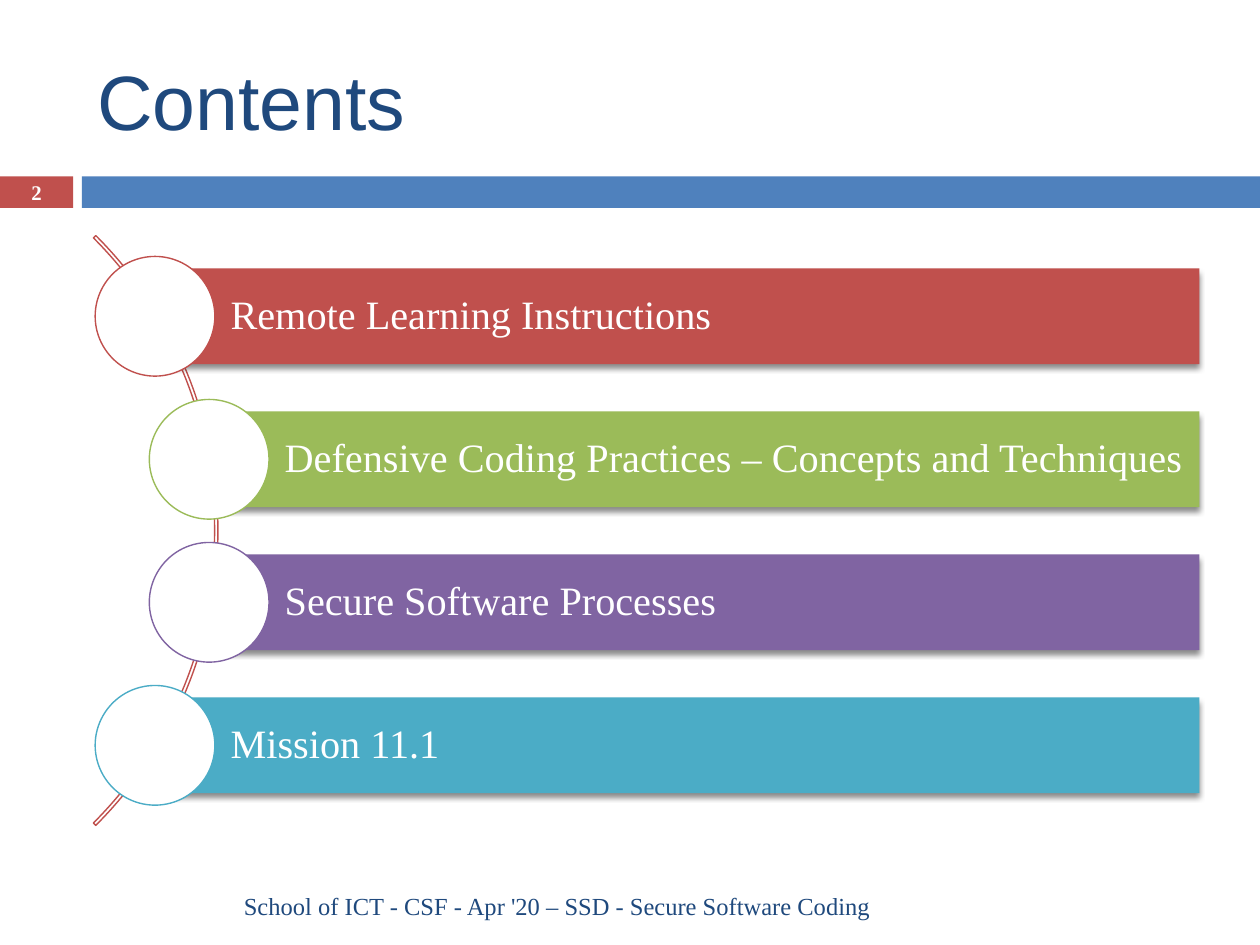
"""Build a contents slide with a curved list of four topics."""
from pptx import Presentation
from pptx.dml.color import RGBColor
from pptx.enum.shapes import MSO_SHAPE
from pptx.enum.text import MSO_ANCHOR, PP_ALIGN
from pptx.oxml import parse_xml
from pptx.oxml.ns import nsdecls, qn
from pptx.util import Inches, Pt

RECTANGLE, OVAL, ARC = MSO_SHAPE.RECTANGLE, MSO_SHAPE.OVAL, MSO_SHAPE.BLOCK_ARC
MIDDLE = MSO_ANCHOR.MIDDLE
LEFT, CENTER, RIGHT = PP_ALIGN.LEFT, PP_ALIGN.CENTER, PP_ALIGN.RIGHT

COLORS = {
    "white": "FFFFFF", "navy": "1F497D", "blue": "4F81BD", "red": "C0504D",
    "green": "9BBB59", "purple": "8064A2", "teal": "4BACC6",
}
SERIF, SANS = "Times New Roman", "Arial"
WIDTH, HEIGHT = 10, 7.5
BAND_TOP, BAND_HEIGHT, NUMBER_WIDTH = 1.4, 0.25, 0.58
BAR_TOP, BAR_PITCH, BAR_HEIGHT, BAR_RIGHT = 2.13, 1.135, 0.76, 9.52
OUTER_LEFT, INNER_LEFT, CIRCLE = 1.23, 1.66, 0.95
ARC_SIZE = 6.62
TOPICS = [
    ("Remote Learning Instructions", "red", OUTER_LEFT),
    ("Defensive Coding Practices – Concepts and Techniques", "green", INNER_LEFT),
    ("Secure Software Processes", "purple", INNER_LEFT),
    ("Mission 11.1", "teal", OUTER_LEFT),
]


def color(name):
    """Return the named palette color."""
    return RGBColor.from_string(COLORS[name])


def place(shape, left, top, width, height):
    """Set a shape's bounds in inches."""
    shape.left, shape.top = Inches(left), Inches(top)
    shape.width, shape.height = Inches(width), Inches(height)


def add_shape(page, kind, bounds, fill=None, line=None):
    """Add a flat shape with an optional fill and outline."""
    shape = page.shapes.add_shape(kind, *map(Inches, bounds))
    shape.shadow.inherit = False
    if fill:
        shape.fill.solid()
        shape.fill.fore_color.rgb = color(fill)
    else:
        shape.fill.background()
    if line:
        shape.line.color.rgb = color(line)
        shape.line.width = Pt(0.79)
    else:
        shape.line.fill.background()
    return shape


def add_shadow(shape):
    """Give a shape a soft shadow straight below it."""
    effects = shape._element.spPr.find(qn("a:effectLst"))
    effects.append(parse_xml(
        f'<a:outerShdw {nsdecls("a")} blurRad="{Pt(3)}" dist="{Pt(2.4)}" '
        'dir="5400000" rotWithShape="0"><a:srgbClr val="000000">'
        '<a:alpha val="45000"/></a:srgbClr></a:outerShdw>'))


def write(shape, text, size, tint, font=SERIF, align=LEFT, bold=False,
          insets=(0.1, 0.05, 0.1, 0.05)):
    """Write one vertically centered line and return its paragraph."""
    frame = shape.text_frame
    frame.word_wrap = True
    frame.vertical_anchor = MIDDLE
    (frame.margin_left, frame.margin_top,
     frame.margin_right, frame.margin_bottom) = map(Inches, insets)
    para = frame.paragraphs[0]
    para.alignment = align
    span = para.add_run()
    span.text = text
    span.font.name, span.font.size, span.font.bold = font, Pt(size), bold
    span.font.color.rgb = color(tint)
    return para


def add_header(page):
    """Add the title, the divider band and the slide number."""
    place(page.shapes.title, 0.67, 0.25, 8.92, 1.08)
    write(page.shapes.title, "Contents", 44, "navy", font=SANS)
    number = add_shape(page, RECTANGLE, (0, BAND_TOP, NUMBER_WIDTH, BAND_HEIGHT), "red")
    write(number, "2", 11.9, "white", align=CENTER, bold=True, insets=(0, 0, 0, 0))
    add_shape(page, RECTANGLE, (0.65, BAND_TOP, WIDTH - 0.65, BAND_HEIGHT), "blue")


def add_arc(page):
    """Add the thin arc that links the circles."""
    arc = add_shape(page, ARC, (-4.89, 0.9, ARC_SIZE, ARC_SIZE), line="red")
    for index, value in enumerate((189, 27, 0.004)):
        arc.adjustments[index] = value


def add_topic(page, row, text, tint, left):
    """Add a topic bar with a circle centered on its left edge."""
    top = BAR_TOP + row * BAR_PITCH
    bar = add_shape(page, RECTANGLE, (left, top, BAR_RIGHT - left, BAR_HEIGHT), tint)
    add_shadow(bar)
    para = write(bar, text, 23, "white", insets=(0.6, 0.06, 0.06, 0.06))
    para.line_spacing = 0.9
    circle_top = top + (BAR_HEIGHT - CIRCLE) / 2
    add_shape(page, OVAL, (left - CIRCLE / 2, circle_top, CIRCLE, CIRCLE), "white", tint)


def add_footer(page):
    """Add the right-aligned footer."""
    box = page.shapes.add_textbox(*map(Inches, (0.67, 6.99, 6.34, 0.4)))
    write(box, "School of ICT - CSF - Apr '20 – SSD - Secure Software Coding",
          14, "navy", align=RIGHT)


def main():
    """Build and save the deck."""
    deck = Presentation()
    deck.slide_width, deck.slide_height = Inches(WIDTH), Inches(HEIGHT)
    page = deck.slides.add_slide(deck.slide_layouts[5])
    add_header(page)
    add_arc(page)
    for row, topic in enumerate(TOPICS):
        add_topic(page, row, *topic)
    add_footer(page)
    deck.save("out.pptx")


if __name__ == "__main__":
    main()
